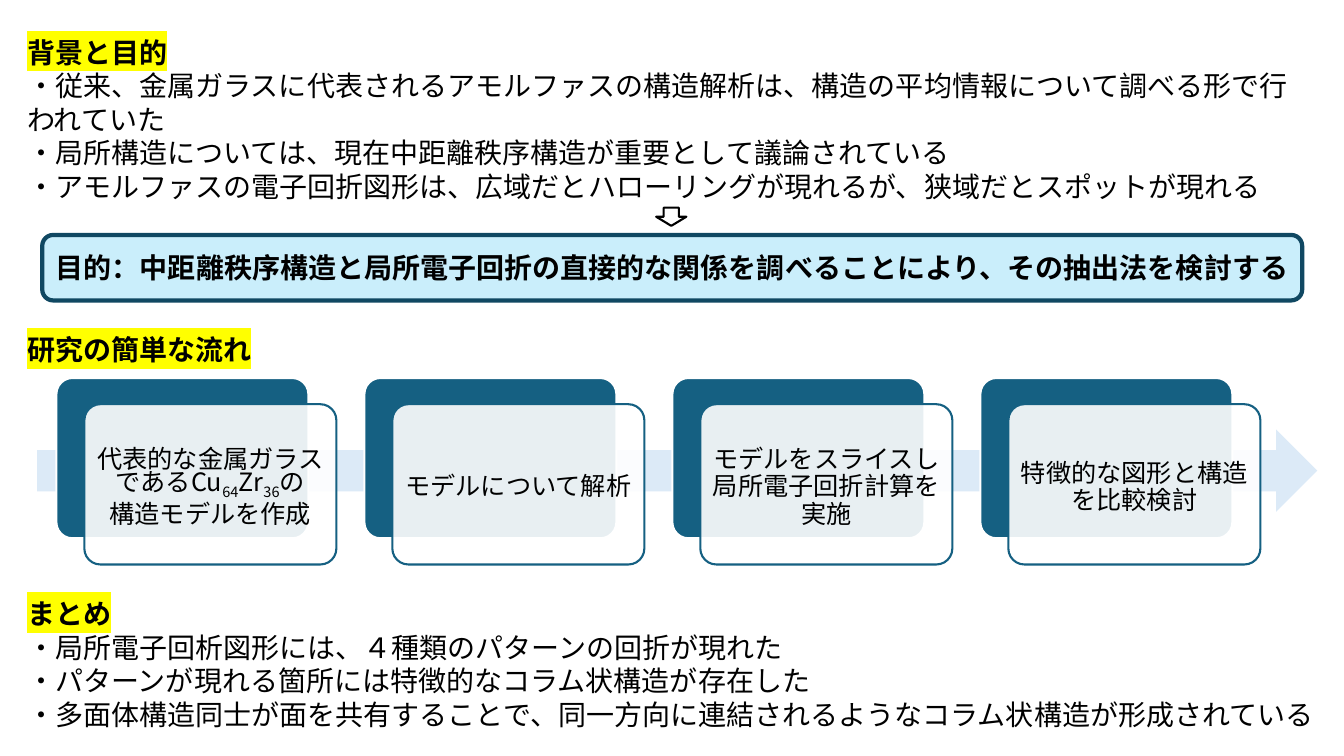
from dataclasses import dataclass
from lxml.etree import SubElement
from pptx import Presentation
from pptx.dml.color import RGBColor
from pptx.enum.shapes import MSO_SHAPE
from pptx.enum.text import MSO_ANCHOR, MSO_AUTO_SIZE, PP_ALIGN
from pptx.oxml.ns import qn
from pptx.util import Pt

AIMS = [
    "背景と目的",
    "・従来、金属ガラスに代表されるアモルファスの構造解析は、構造の平均情報について調べる形で行われていた",
    "・局所構造については、現在中距離秩序構造が重要として議論されている",
    "・アモルファスの電子回折図形は、広域だとハローリングが現れるが、狭域だとスポットが現れる",
]
GOAL = "目的：中距離秩序構造と局所電子回折の直接的な関係を調べることにより、その抽出法を検討する"
FLOW = ["研究の簡単な流れ"]
# Each step is a list of (text, is subscript); "\v" breaks the line.
STEPS = [
    [("代表的な金属ガラスであるCu", False), ("64", True), ("Zr", False),
     ("36", True), ("の\v構造モデルを作成", False)],
    [("モデルについて解析", False)],
    [("モデルをスライスし局所電子回折計算を実施", False)],
    [("特徴的な図形と構造を比較検討", False)],
]
SUMMARY = [
    "まとめ",
    "・局所電子回析図形には、４種類のパターンの回折が現れた",
    "・パターンが現れる箇所には特徴的なコラム状構造が存在した",
    "・多面体構造同士が面を共有することで、同一方向に連結されるようなコラム状構造が形成されている",
]


@dataclass(frozen=True)
class Theme:
    font: str = "Noto Sans CJK JP"
    text: str = "000000"
    white: str = "FFFFFF"
    mark: str = "FFFF00"
    teal: str = "156082"
    navy: str = "104862"
    sky: str = "CAEEFB"
    pale: str = "DCEAF7"
    body: float = 20
    step: float = 18
    head_gap: float = 36
    body_gap: float = 24
    step_gap: float = 19.5


T = Theme()
LEFT = 12.2
CARD_X, CARD_Y, CARD_W, CARD_H = 40.3, 270, 180, 114.5
PITCH, SHIFT_X, SHIFT_Y = 220, 20, 18.7


def rgb(code):
    return RGBColor.from_string(code)


def style(para, size, gap=None, bold=False):
    """Set font, spacing and colour for a whole paragraph."""
    para.space_before = para.space_after = Pt(0)
    if gap:
        para.line_spacing = Pt(gap)
    font = para.font
    font.size, font.bold, font.name = Pt(size), bold, T.font
    font.color.rgb = rgb(T.text)
    props = para._p.pPr.find(qn("a:defRPr"))
    SubElement(props, qn("a:ea")).set("typeface", T.font)


def mark(run):
    """Put the highlight colour behind a run."""
    light = SubElement(run._r.get_or_add_rPr(), qn("a:highlight"))
    SubElement(light, qn("a:srgbClr")).set("val", T.mark)


def section(holder, lines, top, width, height):
    """Fill a placeholder with a marked heading and plain lines."""
    holder.left, holder.top = Pt(LEFT), Pt(top)
    holder.width, holder.height = Pt(width), Pt(height)
    frame = holder.text_frame
    frame.word_wrap, frame.auto_size = True, MSO_AUTO_SIZE.NONE
    frame.vertical_anchor = MSO_ANCHOR.TOP
    for i, line in enumerate(lines):
        para = frame.add_paragraph() if i else frame.paragraphs[0]
        run = para.add_run()
        run.text = line
        para.alignment = PP_ALIGN.LEFT
        props = para._p.get_or_add_pPr()
        props.set("marL", "0")
        props.set("indent", "0")
        SubElement(props, qn("a:buNone"))
        style(para, T.body, T.body_gap if i else T.head_gap, bold=not i)
        if not i:
            mark(run)


def shape(slide, kind, box, fill, line=None, weight=1.5):
    item = slide.shapes.add_shape(kind, *map(Pt, box))
    item.shadow.inherit = False
    item.fill.solid()
    item.fill.fore_color.rgb = rgb(fill)
    if line:
        item.line.color.rgb = rgb(line)
        item.line.width = Pt(weight)
    else:
        item.line.fill.background()
    return item


def centre(item, side, top=0):
    """Ready a shape for centred text and return its paragraph."""
    frame = item.text_frame
    frame.word_wrap, frame.vertical_anchor = True, MSO_ANCHOR.MIDDLE
    frame.margin_left = frame.margin_right = Pt(side)
    frame.margin_top, frame.margin_bottom = Pt(top), Pt(0)
    para = frame.paragraphs[0]
    para.alignment = PP_ALIGN.CENTER
    return para


def card(slide, x, parts):
    """Draw one step: a solid card under a see-through text card."""
    back = shape(slide, MSO_SHAPE.ROUNDED_RECTANGLE,
                 (x, CARD_Y, CARD_W, CARD_H), T.teal, T.white)
    front = shape(slide, MSO_SHAPE.ROUNDED_RECTANGLE,
                  (x + SHIFT_X, CARD_Y + SHIFT_Y, CARD_W, CARD_H),
                  T.white, T.teal)
    back.adjustments[0] = front.adjustments[0] = 0.1
    tint = front.fill._xPr.find(qn("a:solidFill"))[0]
    SubElement(tint, qn("a:alpha")).set("val", "90000")
    para = centre(front, 4.5, top=4)
    for text, low in parts:
        for i, piece in enumerate(text.split("\v")):
            if i:
                para.add_line_break()
            run = para.add_run()
            run.text = piece
            if low:
                run.font._element.set("baseline", "-25000")
    style(para, T.step, T.step_gap)


def main():
    deck = Presentation()
    deck.slide_width, deck.slide_height = Pt(960), Pt(540)
    slide = deck.slides.add_slide(deck.slide_layouts[3])
    title, upper, lower = slide.placeholders

    shape(slide, MSO_SHAPE.RIGHT_ARROW, (26.6, 306.7, 914.4, 59), T.pale)
    for i, parts in enumerate(STEPS):
        card(slide, CARD_X + i * PITCH, parts)

    section(upper, AIMS, 9.4, 929, 140.4)
    section(title, FLOW, 221.8, 189, 40.3)
    section(lower, SUMMARY, 410.5, 936, 116.6)

    goal = shape(slide, MSO_SHAPE.ROUNDED_RECTANGLE,
                 (30.2, 167.8, 900, 46.8), T.sky, T.navy, 3)
    para = centre(goal, 0)
    para.add_run().text = GOAL
    style(para, T.body, bold=True)
    shape(slide, MSO_SHAPE.DOWN_ARROW, (468.7, 148.3, 21.6, 13), T.white, T.text)
    deck.save("out.pptx")


if __name__ == "__main__":
    main()
